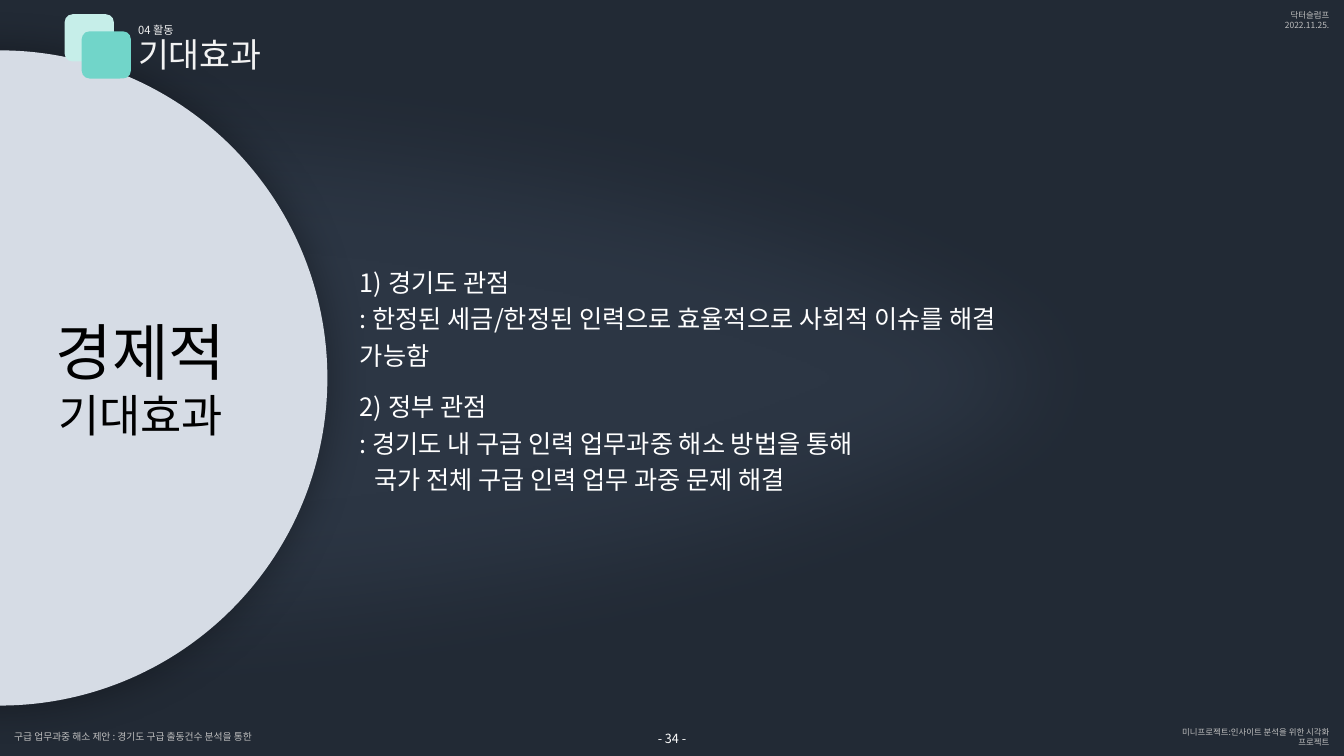
from dataclasses import dataclass
from math import cos, pi, sin

from lxml.etree import SubElement
from pptx import Presentation
from pptx.dml.color import RGBColor
from pptx.enum.shapes import MSO_SHAPE
from pptx.enum.text import MSO_ANCHOR, MSO_AUTO_SIZE, PP_ALIGN
from pptx.oxml.ns import qn
from pptx.shapes.autoshape import Shape
from pptx.slide import Slide
from pptx.text.text import TextFrame
from pptx.util import Cm, Pt

NAVY = RGBColor(0x22, 0x2A, 0x35)
GLOW = RGBColor(0x2C, 0x36, 0x44)
PALE_BLUE = RGBColor(0xD6, 0xDC, 0xE5)
PALE_MINT = RGBColor(0xC6, 0xEE, 0xE9)
MINT = RGBColor(0x71, 0xD5, 0xC9)
OFF_WHITE = RGBColor(0xF2, 0xF2, 0xF2)
GREY = RGBColor(0xBF, 0xBF, 0xBF)
WHITE = RGBColor(0xFF, 0xFF, 0xFF)
BLACK = RGBColor(0, 0, 0)
FONT = "Noto Sans CJK KR"


@dataclass(frozen=True)
class Box:
    """Left, top, width and height in centimetres."""
    left: float
    top: float
    width: float
    height: float

    def lengths(self) -> tuple[Cm, Cm, Cm, Cm]:
        return Cm(self.left), Cm(self.top), Cm(self.width), Cm(self.height)


@dataclass(frozen=True)
class Label:
    box: Box
    text: str
    sizes: tuple[float, ...]
    color: RGBColor
    align: PP_ALIGN = PP_ALIGN.LEFT
    wrap: bool = True


@dataclass(frozen=True)
class Figure:
    preset: MSO_SHAPE
    box: Box
    fill: RGBColor


CIRCLE = Figure(MSO_SHAPE.OVAL, Box(-8.26, 1.27, 16.51, 16.51), PALE_BLUE)
EMBLEM = (
    Figure(MSO_SHAPE.ROUNDED_RECTANGLE, Box(1.63, 0.36, 1.24, 1.19), PALE_MINT),
    Figure(MSO_SHAPE.ROUNDED_RECTANGLE, Box(2.06, 0.79, 1.24, 1.19), MINT),
)
HEADING = Label(Box(3.48, 0.86, 9.35, 1.02), "기대효과", (24,), OFF_WHITE)
VIEWPOINTS = Label(
    Box(9.07, 7.06, 17.7, 4.93),
    "1) 경기도 관점\n"
    ": 한정된 세금/한정된 인력으로 효율적으로 사회적 이슈를 해결 가능함\n"
    "2) 정부 관점\n"
    ": 경기도 내 구급 인력 업무과중 해소 방법을 통해\n"
    "국가 전체 구급 인력 업무 과중 문제 해결",
    (18,) * 5, WHITE)
LABELS = (
    Label(Box(29.08, 18.44, 4.42, 0.25),
          "미니프로젝트:인사이트 분석을 위한 시각화 프로젝트", (6,), GREY, PP_ALIGN.RIGHT),
    Label(Box(0.36, 18.41, 6.65, 0.3),
          "구급 업무과중 해소 제안 : 경기도 구급 출동건수 분석을 통한", (7,), GREY),
    Label(Box(29.08, 0.25, 4.42, 0.51),
          "닥터슬럼프\n2022.11.25.", (6, 6), GREY, PP_ALIGN.RIGHT),
    Label(Box(3.48, 0.58, 9.35, 0.33), "04 활동", (8,), OFF_WHITE),
    Label(Box(-0.05, 7.77, 7.19, 3.51),
          "경제적\n기대효과", (44, 32), BLACK, PP_ALIGN.CENTER),
    Label(Box(16.48, 18.41, 0.91, 0.38),
          "- 34 -", (9,), WHITE, PP_ALIGN.CENTER, wrap=False),
)


def write(frame: TextFrame, label: Label) -> None:
    frame.text = label.text
    frame.auto_size = MSO_AUTO_SIZE.NONE
    frame.word_wrap = label.wrap
    frame.vertical_anchor = MSO_ANCHOR.MIDDLE
    frame.margin_left = frame.margin_right = frame.margin_top = frame.margin_bottom = 0
    for paragraph, size in zip(frame.paragraphs, label.sizes):
        paragraph.alignment = label.align
        for run in paragraph.runs:
            run.font.size = Pt(size)
            run.font.name = FONT
            run.font.color.rgb = label.color
            SubElement(run.font._element, qn("a:ea"), typeface=FONT)


def fill_placeholder(placeholder: Shape, label: Label) -> None:
    """Write a label into a placeholder and bring it to the front."""
    (placeholder.left, placeholder.top,
     placeholder.width, placeholder.height) = label.box.lengths()
    write(placeholder.text_frame, label)
    tree = placeholder._element.getparent()
    tree.append(placeholder._element)


def paint(shape: Shape, color: RGBColor) -> None:
    shape.fill.solid()
    shape.fill.fore_color.rgb = color
    shape.line.fill.background()
    shape.shadow.inherit = False


def draw_figure(slide: Slide, figure: Figure) -> Shape:
    shape = slide.shapes.add_shape(figure.preset, *figure.box.lengths())
    paint(shape, figure.fill)
    return shape


def add_effect(shape: Shape, tag: str, **attributes: str):
    effects = shape._element.spPr.find(qn("a:effectLst"))
    return SubElement(effects, qn(tag), **attributes)


def draw_glow(slide: Slide) -> None:
    """Draw the soft right half of an ellipse behind the list."""
    steps = 90
    center_y, radius_x, radius_y = 9.53, 30.38, 8.76
    angles = [pi * step / steps - pi / 2 for step in range(steps + 1)]
    outline = [(Cm(radius_x * cos(angle)), Cm(center_y + radius_y * sin(angle)))
               for angle in angles]
    builder = slide.shapes.build_freeform(*outline[0])
    builder.add_line_segments(outline[1:], close=True)
    glow = builder.convert_to_shape()
    paint(glow, GLOW)
    add_effect(glow, "a:softEdge", rad=str(Pt(75)))


def draw_circle(slide: Slide) -> None:
    circle = draw_figure(slide, CIRCLE)
    shadow = add_effect(circle, "a:outerShdw", blurRad=str(Pt(30)), dist="0", dir="0",
                        algn="ctr", rotWithShape="0")
    shade = SubElement(shadow, qn("a:srgbClr"), val=str(BLACK))
    SubElement(shade, qn("a:alpha"), val="37000")


def format_viewpoints(frame: TextFrame) -> None:
    for paragraph in frame.paragraphs:
        paragraph.line_spacing = 1.2
        paragraph.space_before = Pt(0)
        properties = paragraph._p.get_or_add_pPr()
        properties.set("marL", "0")
        properties.set("indent", "0")
        SubElement(properties, qn("a:buNone"))
    frame.paragraphs[2].space_before = Pt(11)
    frame.paragraphs[-1]._p.pPr.set("marL", str(Cm(0.36)))


def main() -> None:
    presentation = Presentation()
    presentation.slide_width = Cm(33.87)
    presentation.slide_height = Cm(19.05)
    slide = presentation.slides.add_slide(presentation.slide_layouts[1])
    slide.background.fill.solid()
    slide.background.fill.fore_color.rgb = NAVY

    draw_glow(slide)
    draw_circle(slide)
    for square in EMBLEM:
        draw_figure(slide, square)
    fill_placeholder(slide.shapes.title, HEADING)
    viewpoints = slide.placeholders[1]
    fill_placeholder(viewpoints, VIEWPOINTS)
    format_viewpoints(viewpoints.text_frame)
    for label in LABELS:
        write(slide.shapes.add_textbox(*label.box.lengths()).text_frame, label)

    presentation.save("out.pptx")


if __name__ == "__main__":
    main()
